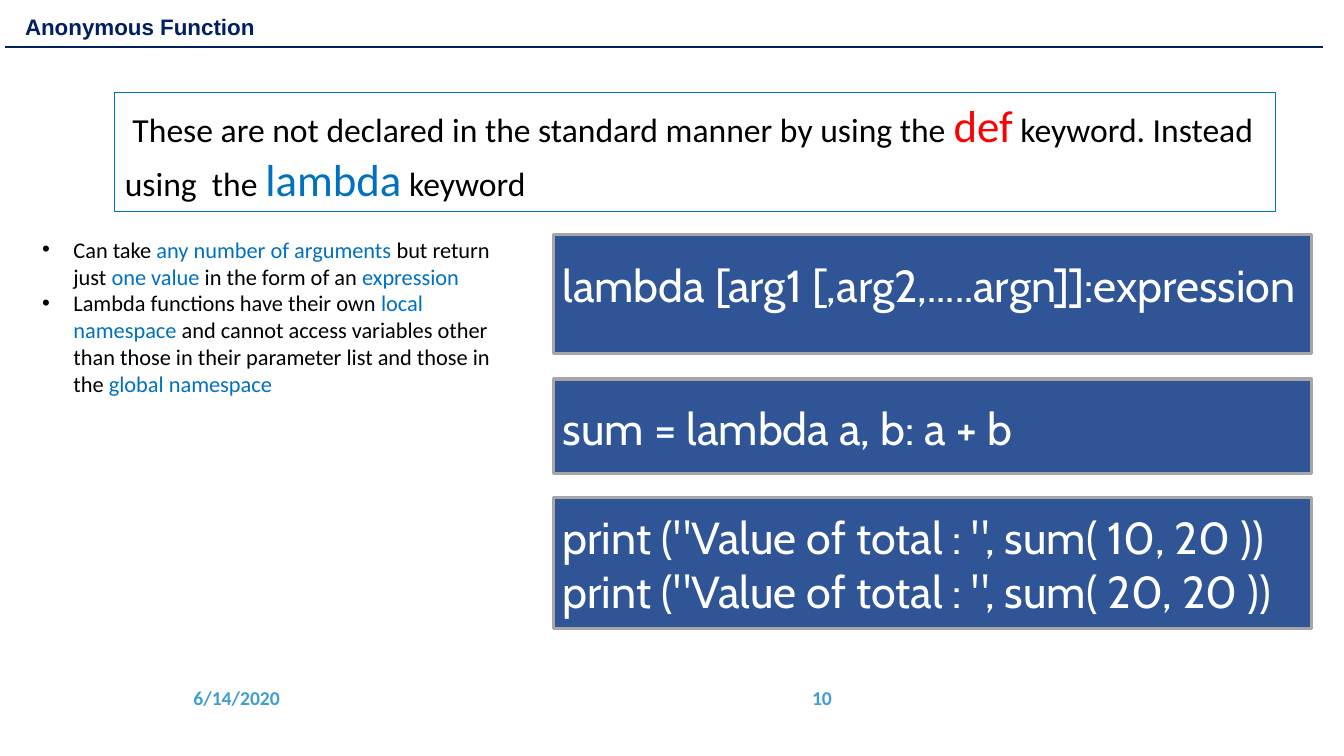
from dataclasses import dataclass

from lxml.etree import SubElement
from pptx import Presentation
from pptx.dml.color import RGBColor
from pptx.enum.shapes import MSO_CONNECTOR, MSO_SHAPE
from pptx.enum.text import MSO_ANCHOR as ANCHOR, PP_ALIGN as ALIGN
from pptx.oxml.ns import qn
from pptx.shapes.autoshape import Shape
from pptx.slide import Slide
from pptx.util import Inches, Pt

WHITE = RGBColor(0xFF, 0xFF, 0xFF)
BLACK = RGBColor(0x00, 0x00, 0x00)
NAVY = RGBColor(0x00, 0x20, 0x60)
BLUE = RGBColor(0x00, 0x70, 0xC0)
RED = RGBColor(0xFF, 0x00, 0x00)
SKY = RGBColor(0x40, 0x9E, 0xD2)
PANEL = RGBColor(0x2F, 0x55, 0x97)
GREY = RGBColor(0xA6, 0xA6, 0xA6)


@dataclass
class Run:
    text: str
    size: float = 16
    color: RGBColor = BLACK
    font: str = "Calibri"
    bold: bool = False


@dataclass
class Box:
    left: float
    top: float
    width: float
    height: float


@dataclass
class CodePanel:
    top: float
    height: float
    text_top: float
    lines: list[str]


INTRO = [
    Run(" These are not declared in the standard manner by using the ", 24),
    Run("def", 32, RED),
    Run(" keyword. Instead using  the ", 24),
    Run("lambda", 32, BLUE),
    Run(" keyword", 24),
]
BULLETS = [
    [
        Run("Can take "),
        Run("any number of arguments ", color=BLUE),
        Run("but return just "),
        Run("one value", color=BLUE),
        Run(" in the form of an "),
        Run("expression", color=BLUE),
    ],
    [
        Run("Lambda functions have their own "),
        Run("local namespace ", color=BLUE),
        Run("and cannot access variables other than those in their "
            "parameter list and those in the "),
        Run("global namespace", color=BLUE),
    ],
]
PANELS = [
    CodePanel(2.33, 1.18, 2.55, ["lambda [arg1 [,arg2,.....argn]]:expression"]),
    CodePanel(3.76, 0.94, 3.97, ["sum = lambda a, b: a + b"]),
    CodePanel(4.94, 1.3, 5.05, [
        f'print ("Value of total : ", sum( {first}, 20 ))' for first in (10, 20)
    ]),
]


def add_rect(s: Slide, box: Box, fill: RGBColor | None = None,
             line: RGBColor | None = None, weight: float = 0.75) -> Shape:
    """Add a flat rectangle with an optional fill and outline."""
    sp = s.shapes.add_shape(MSO_SHAPE.RECTANGLE, Inches(box.left), Inches(box.top),
                            Inches(box.width), Inches(box.height))
    sp.shadow.inherit = False
    if fill is None:
        sp.fill.background()
    else:
        sp.fill.solid()
        sp.fill.fore_color.rgb = fill
    if line is None:
        sp.line.fill.background()
    else:
        sp.line.color.rgb = line
        sp.line.width = Pt(weight)
    return sp


def add_text(s: Slide, box: Box) -> Shape:
    """Add an empty text box."""
    return s.shapes.add_textbox(Inches(box.left), Inches(box.top),
                                Inches(box.width), Inches(box.height))


def write(sp: Shape, paragraphs: list[list[Run]], anchor: ANCHOR = ANCHOR.TOP,
          align: ALIGN = ALIGN.LEFT, inset: bool = True) -> None:
    """Fill a shape with paragraphs, run by run."""
    tf = sp.text_frame
    tf.word_wrap = True
    tf.vertical_anchor = anchor
    if not inset:
        tf.margin_left = tf.margin_right = tf.margin_top = tf.margin_bottom = 0
    for i, runs in enumerate(paragraphs):
        p = tf.add_paragraph() if i else tf.paragraphs[0]
        p.alignment = align
        for run in runs:
            r = p.add_run()
            r.text = run.text
            r.font.name = run.font
            r.font.size = Pt(run.size)
            r.font.bold = run.bold
            r.font.color.rgb = run.color


def add_bullets(sp: Shape, indent: float) -> None:
    """Give every paragraph a round bullet and a hanging indent."""
    for p in sp.text_frame.paragraphs:
        props = p._p.get_or_add_pPr()
        props.set("marL", str(Inches(indent)))
        props.set("indent", str(-Inches(indent)))
        SubElement(props, qn("a:buFont")).set("typeface", "Arial")
        SubElement(props, qn("a:buChar")).set("char", "•")


def add_title(s: Slide) -> None:
    """Add the slide title and the rule below it."""
    sp = add_rect(s, Box(0.15, 0.1, 9.04, 0.35), WHITE)
    write(sp, [[Run("Anonymous Function", 16, NAVY, "Arial", True)]], ANCHOR.BOTTOM)
    sp.text_frame.paragraphs[0].line_spacing = 0.9
    rule = s.shapes.add_connector(MSO_CONNECTOR.STRAIGHT, Inches(0.05), Inches(0.47),
                                  Inches(13.12), Inches(0.47))
    rule.line.color.rgb = NAVY
    rule.line.width = Pt(1.5)
    SubElement(rule._element.spPr, qn("a:effectLst"))


def add_panel(s: Slide, panel: CodePanel) -> None:
    """Add a code panel and its lines of code."""
    add_rect(s, Box(5.49, panel.top, 7.52, panel.height), PANEL, GREY, 2.25)
    sp = add_text(s, Box(5.58, panel.text_top, 7.92, 0.54 * len(panel.lines)))
    write(sp, [[Run(line, 32, WHITE, "Cabin")] for line in panel.lines],
          ANCHOR.MIDDLE, inset=False)


def main() -> None:
    """Build the slide and save it."""
    prs = Presentation()
    prs.slide_width, prs.slide_height = Inches(13.33), Inches(7.5)
    s = prs.slides.add_slide(prs.slide_layouts[6])

    write(add_text(s, Box(1.82, 6.72, 1.38, 0.4)),
          [[Run("6/14/2020", 14, SKY, bold=True)]], ANCHOR.MIDDLE)
    write(add_text(s, Box(5.32, 6.72, 3.03, 0.4)),
          [[Run("10", 14, SKY, bold=True)]], ANCHOR.MIDDLE, ALIGN.RIGHT)
    add_title(s)

    notes = add_text(s, Box(0.32, 2.29, 4.68, 1.72))
    write(notes, BULLETS)
    add_bullets(notes, 0.31)
    write(add_rect(s, Box(1.14, 0.92, 11.51, 1.18), line=BLUE), [INTRO])
    for panel in PANELS:
        add_panel(s, panel)

    prs.save("out.pptx")


if __name__ == "__main__":
    main()
